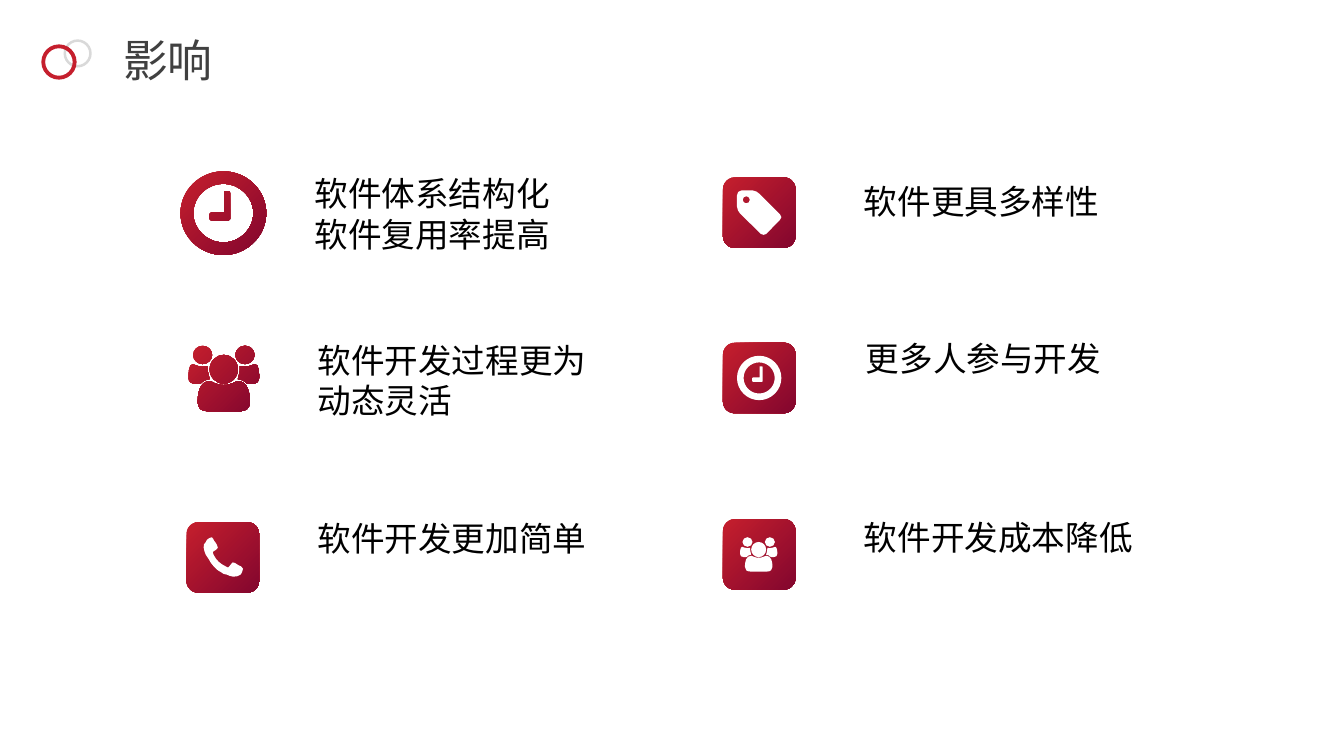
from pptx import Presentation
from pptx.dml import color
from pptx.enum import shapes, text
from pptx.oxml import ns, xmlchemy
from pptx.util import Inches, Pt

COLORS = {"red": "C51F2D", "wine": "83062E", "grey": "D9D9D9",
          "white": "FFFFFF", "title": "404040", "text": "000000"}


def rgb(name):
    return color.RGBColor.from_string(COLORS[name])


# Outlines, in percent of the icon's box: a pair is a straight end,
# six numbers are a Bezier curve
def ellipse(x, y, radius_x, radius_y):
    a, b = 0.55 * radius_x, 0.55 * radius_y
    left, right, top, bottom = x - radius_x, x + radius_x, y - radius_y, y + radius_y
    return [(right, y),
            (right, y + b, x + a, bottom, x, bottom),
            (x - a, bottom, left, y + b, left, y),
            (left, y - b, x - a, top, x, top),
            (x + a, top, right, y - b, right, y)]


def mirror(contour):
    return [tuple(value if index % 2 else 100 - value
                  for index, value in enumerate(segment)) for segment in contour]


CLOCK = [
    ellipse(50, 50, 50, 50),
    ellipse(50, 50, 35, 35),
    [(51, 24), (57, 24), (58, 26), (58, 57), (56, 59), (36, 59),
     (34, 57), (34, 51), (36, 49), (51, 49)],
]

SIDE_HEAD = ellipse(20, 14, 13.5, 14)
SIDE_BODY = [
    (17, 58), (10, 58), (4, 58, 0, 55, 0, 49), (0, 43, 0, 28, 6, 28),
    (7, 28, 13, 32, 20, 32), (23, 32, 24, 32, 27, 31), (27, 35),
    (27, 40, 29, 46, 30, 51), (26, 51, 20, 54, 17, 58)]
TORSO = [
    (73, 100), (27, 100), (18, 100, 13, 95, 13, 86), (13, 72, 16, 54, 30, 54),
    (33, 54, 39, 60, 50, 60), (61, 60, 67, 54, 70, 54),
    (84, 54, 87, 72, 87, 86), (87, 95, 82, 100, 73, 100)]
PEOPLE = [SIDE_HEAD, SIDE_BODY, mirror(SIDE_HEAD), mirror(SIDE_BODY),
          ellipse(50, 36, 20, 22), TORSO]

TAG = [
    [(97, 66), (66, 98), (64, 100, 62, 100, 60, 100),
     (58, 100, 56, 100, 54, 98), (7, 52), (3, 48, 0, 41, 0, 36), (0, 11),
     (0, 5, 4, 0, 10, 0), (36, 0), (41, 0, 47, 4, 50, 7), (97, 54),
     (100, 57, 100, 58, 100, 60), (100, 62, 100, 64, 97, 66)],
    ellipse(21, 21, 8, 8),
]

PHONE = [[
    (97, 90), (97, 95, 92, 95, 90, 97), (87, 100, 82, 100, 74, 100),
    (69, 100, 64, 97, 59, 95), (51, 95, 49, 92, 46, 90),
    (33, 85, 18, 67, 13, 56), (8, 51, 8, 49, 5, 44), (3, 38, 0, 31, 0, 26),
    (0, 21, 0, 15, 5, 13), (8, 8, 8, 5, 13, 3), (13, 3, 18, 0, 21, 0),
    (23, 3), (23, 3, 26, 5, 26, 8), (28, 10, 31, 15, 33, 18),
    (36, 21, 36, 23, 36, 26), (36, 31, 23, 36, 23, 38),
    (23, 41, 26, 44, 26, 46), (33, 59, 41, 67, 56, 74), (62, 77),
    (64, 77, 72, 64, 74, 64), (79, 64, 82, 67, 82, 67),
    (87, 72, 92, 72, 95, 74), (97, 77, 100, 77, 100, 80),
    (100, 85, 97, 87, 97, 90)]]

# Contents: icon contours with box, and tile corner
ICONS = [
    (CLOCK, (1.79, 1.7, 0.85, 0.83), None),
    (PEOPLE, (1.87, 3.43, 0.7, 0.65), None),
    (PHONE, (2.02, 5.33, 0.39, 0.39), (1.85, 5.18)),
    (TAG, (7.31, 1.89, 0.44, 0.44), (7.17, 1.76)),
    (CLOCK, (7.31, 3.53, 0.44, 0.44), (7.17, 3.4)),
    (PEOPLE, (7.34, 5.33, 0.37, 0.34), (7.17, 5.15)),
]
LABELS = [
    (["软件体系结构化", "软件复用率提高"], (3.02, 1.67, 2.99, 0.91)),
    (["软件开发过程更为动态灵活"], (3.05, 3.32, 3.08, 0.71)),
    (["软件开发更加简单"], (3.05, 5.09, 2.99, 0.5)),
    (["软件更具多样性"], (8.47, 1.75, 2.83, 0.4)),
    (["更多人参与开发"], (8.49, 3.3, 2.99, 0.5)),
    (["软件开发成本降低"], (8.47, 5.08, 2.99, 0.5)),
]


def paint(shape, fill):
    """Fill with one colour, or with a gradient for a pair of names."""
    shape.shadow.inherit = False
    shape.line.fill.background()
    if isinstance(fill, str):
        shape.fill.solid()
        shape.fill.fore_color.rgb = rgb(fill)
        return
    shape.fill.gradient()
    shape.fill.gradient_angle = 315
    for stop, name in zip(shape.fill.gradient_stops, fill):
        stop.color.rgb = rgb(name)


def add_preset(parent, kind, box, fill, adjustment=None):
    shape = parent.add_shape(kind, *map(Inches, box))
    if adjustment is not None:
        shape.adjustments[0] = adjustment
    paint(shape, fill)


def bend(shape, contours):
    """Join the three points of each curved segment into one Bezier curve."""
    lines = iter(list(shape.element.iter(ns.qn("a:lnTo"))))
    for contour in contours:
        for segment in contour[1:]:
            ends = [next(lines) for _ in range(len(segment) // 2)]
            if len(ends) == 1:
                continue
            curve = xmlchemy.OxmlElement("a:cubicBezTo")
            ends[0].addprevious(curve)
            for end in ends:
                curve.append(end[0])
                end.getparent().remove(end)


def add_glyph(parent, contours, box, fill):
    left, top, width, height = box
    builder = None
    for contour in contours:
        points = [(Inches(left + width * x / 100), Inches(top + height * y / 100))
                  for segment in contour
                  for x, y in zip(segment[::2], segment[1::2])]
        if builder is None:
            builder = parent.build_freeform(*points[0])
        else:
            builder.move_to(*points[0])
        builder.add_line_segments(points[1:], close=True)
    shape = builder.convert_to_shape()
    bend(shape, contours)
    paint(shape, fill)


def add_icon(slide, contours, box, tile_corner):
    gradient = ("red", "wine")
    if tile_corner is None:
        add_glyph(slide.shapes, contours, box, gradient)
        return
    group = slide.shapes.add_group_shape()
    add_preset(group.shapes, shapes.MSO_SHAPE.ROUNDED_RECTANGLE,
               (*tile_corner, 0.72, 0.7), gradient)
    add_glyph(group.shapes, contours, box, "white")


def write(shape, lines, size, color_name, wrap):
    frame = shape.text_frame
    frame.text = "\n".join(lines)
    frame_format = {"word_wrap": wrap, "vertical_anchor": text.MSO_ANCHOR.TOP,
                    "auto_size": text.MSO_AUTO_SIZE.SHAPE_TO_FIT_TEXT}
    for name, value in frame_format.items():
        setattr(frame, name, value)
    for paragraph in frame.paragraphs:
        paragraph.alignment = text.PP_ALIGN.LEFT
        for name, value in {"size": Pt(size), "name": "Arial"}.items():
            setattr(paragraph.font, name, value)
        paragraph.font.color.rgb = rgb(color_name)


def add_title(slide, title, box):
    shape = slide.shapes.title
    for name, value in zip(("left", "top", "width", "height"), box):
        setattr(shape, name, Inches(value))
    write(shape, [title], 32, "title", wrap=False)


def main():
    presentation = Presentation()
    presentation.slide_width = Inches(13.33)
    presentation.slide_height = Inches(7.5)
    slide = presentation.slides.add_slide(presentation.slide_layouts[5])

    # Heading with its two rings
    add_title(slide, "影响", (1.12, 0.27, 1.09, 0.64))
    rings = slide.shapes.add_group_shape().shapes
    add_preset(rings, shapes.MSO_SHAPE.DONUT, (0.63, 0.39, 0.28, 0.28), "grey", 0.09)
    add_preset(rings, shapes.MSO_SHAPE.DONUT, (0.41, 0.44, 0.35, 0.35), "red", 0.11)

    # Six effects
    for contours, box, tile_corner in ICONS:
        add_icon(slide, contours, box, tile_corner)
    for lines, box in LABELS:
        label = slide.shapes.add_textbox(*map(Inches, box))
        write(label, lines, 24, "text", wrap=True)

    presentation.save("out.pptx")


if __name__ == "__main__":
    main()
